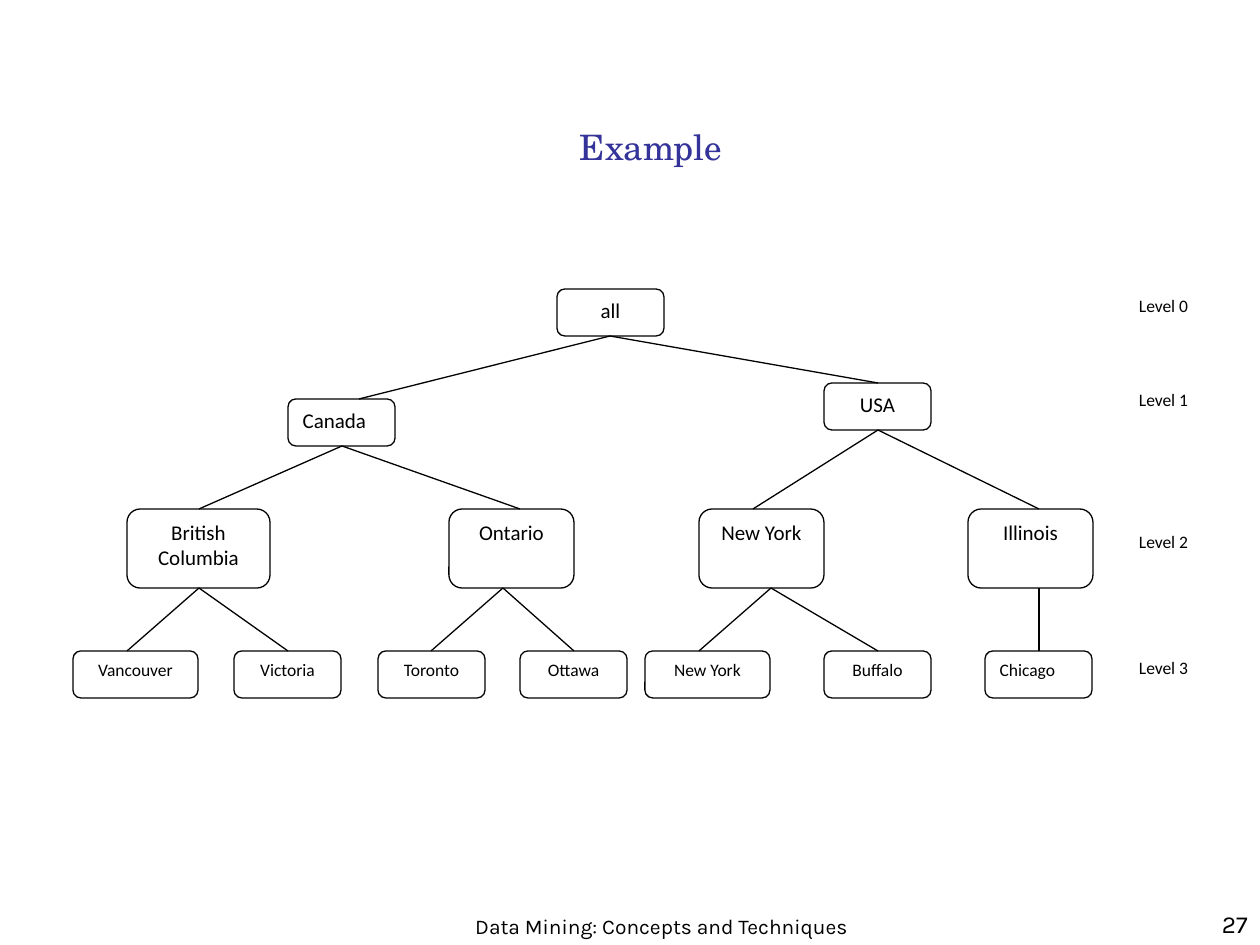
from lxml.etree import SubElement
from pptx import Presentation
from pptx.dml.color import RGBColor
from pptx.enum.shapes import MSO_CONNECTOR, MSO_SHAPE
from pptx.enum.text import MSO_ANCHOR, PP_ALIGN
from pptx.oxml.ns import qn
from pptx.util import Emu, Pt

PIXELS_PER_INCH = 126
BLACK = RGBColor(0x00, 0x00, 0x00)
WHITE = RGBColor(0xFF, 0xFF, 0xFF)
INDIGO = RGBColor(0x33, 0x33, 0x99)

SMALL, WIDE, WIDEST = 107, 125, 143
LOW, TALL = 47, 79
CENTER, LEFT, RIGHT = PP_ALIGN.CENTER, PP_ALIGN.LEFT, PP_ALIGN.RIGHT

NODES = [
    ("all", 557, 289, SMALL, LOW, 12, CENTER),
    ("Canada", 288, 399, SMALL, LOW, 12, LEFT),
    ("USA", 824, 383, SMALL, LOW, 12, CENTER),
    ("British Columbia", 127, 509, WIDEST, TALL, 12, CENTER),
    ("Ontario", 449, 509, WIDE, TALL, 12, CENTER),
    ("New York", 699, 509, WIDE, TALL, 12, CENTER),
    ("Illinois", 968, 509, WIDE, TALL, 12, CENTER),
    ("Vancouver", 73, 651, WIDE, LOW, 10, CENTER),
    ("Victoria", 234, 651, SMALL, LOW, 10, CENTER),
    ("Toronto", 378, 651, SMALL, LOW, 10, CENTER),
    ("Ottawa", 520, 651, SMALL, LOW, 10, CENTER),
    ("New York", 645, 651, WIDE, LOW, 10, CENTER),
    ("Buffalo", 824, 651, SMALL, LOW, 10, CENTER),
    ("Chicago", 985, 651, SMALL, LOW, 10, LEFT),
]
BRANCHES = [
    ((610, 336), [(359, 399), (878, 383)]),
    ((342, 446), [(199, 509), (520, 509)]),
    ((878, 430), [(753, 509), (1039, 509)]),
    ((199, 588), [(127, 651), (288, 651)]),
    ((503, 588), [(431, 651), (574, 651)]),
    ((771, 588), [(699, 651), (878, 651)]),
    ((1039, 588), [(1039, 651)]),
]
LEVEL_TOPS = [289, 383, 525, 651]


def px(length):
    return Emu(round(length * 914400 / PIXELS_PER_INCH))


def write_text(shape, text, font_name, size, color, alignment, anchor):
    text_frame = shape.text_frame
    text_frame.word_wrap = True
    text_frame.vertical_anchor = anchor
    text_frame.text = text
    paragraph = text_frame.paragraphs[0]
    paragraph.alignment = alignment
    font = paragraph.runs[0].font
    font.name = font_name
    font.size = Pt(size)
    font.color.rgb = color


def add_text(slide, text, box, font_name, size, color, alignment, anchor):
    shape = slide.shapes.add_textbox(*map(px, box))
    write_text(shape, text, font_name, size, color, alignment, anchor)


def add_box(slide, preset, text, box, size, alignment, line_color):
    shape = slide.shapes.add_shape(preset, *map(px, box))
    shape.shadow.inherit = False
    shape.fill.solid()
    shape.fill.fore_color.rgb = WHITE
    shape.line.color.rgb = line_color
    shape.line.width = Pt(0.75)
    write_text(shape, text, "Calibri", size, BLACK, alignment, MSO_ANCHOR.TOP)


def add_line(slide, start, end):
    connector = slide.shapes.add_connector(
        MSO_CONNECTOR.STRAIGHT, *map(px, start + end)
    )
    connector.line.color.rgb = BLACK
    connector.line.width = Pt(0.75)
    SubElement(connector._element.spPr, qn("a:effectLst"))


def main():
    presentation = Presentation()
    presentation.slide_width = px(1260)
    presentation.slide_height = px(945)
    slide = presentation.slides.add_slide(presentation.slide_layouts[6])

    add_text(slide, "Data Mining: Concepts and Techniques", (462, 892, 399, 53),
             "Karla", 12, BLACK, CENTER, MSO_ANCHOR.BOTTOM)
    add_text(slide, "27", (998, 892, 262, 53),
             "Karla", 14, BLACK, RIGHT, MSO_ANCHOR.BOTTOM)

    for text, left, top, width, height, size, alignment in NODES:
        add_box(slide, MSO_SHAPE.ROUNDED_RECTANGLE, text,
                (left, top, width, height), size, alignment, BLACK)
    for start, ends in BRANCHES:
        for end in ends:
            add_line(slide, start, end)
    for level, top in enumerate(LEVEL_TOPS):
        add_box(slide, MSO_SHAPE.RECTANGLE, f"Level {level}",
                (1110, top, SMALL, LOW), 10, CENTER, WHITE)

    add_text(slide, "Example", (84, 84, 1134, 126),
             "TeX Gyre Schola", 20, INDIGO, CENTER, MSO_ANCHOR.MIDDLE)
    presentation.save("out.pptx")


if __name__ == "__main__":
    main()
